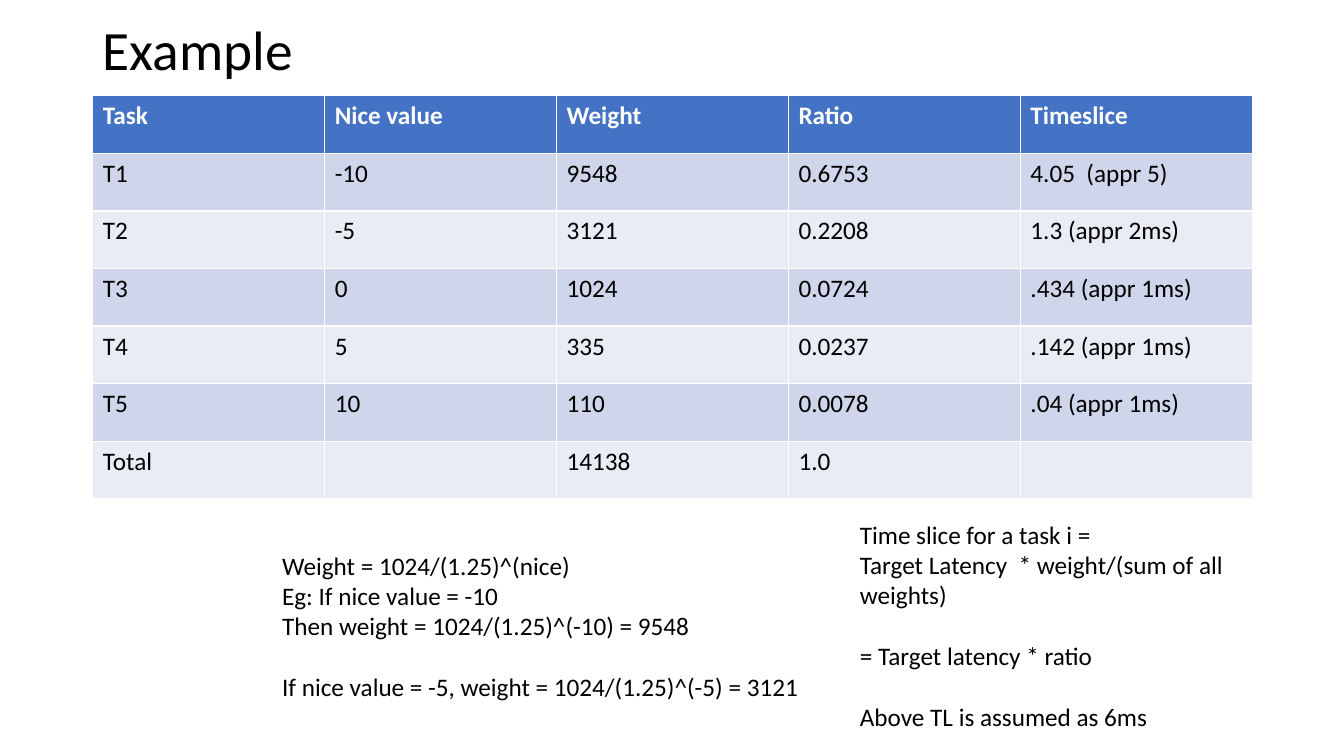
from pptx import Presentation
from pptx.dml.color import RGBColor
from pptx.enum.text import MSO_ANCHOR as Anchor
from pptx.util import Inches, Pt

FONT = "Calibri"
BODY_SIZE = 18
LINE_HEIGHT = 22  # points, one line of body text
COLORS = {
    "text": "000000",
    "header text": "FFFFFF",
    "header": "4472C4",
    "odd row": "CFD5EA",
    "even row": "E9EBF5",
}

TITLE = "Example"
TASKS = [
    ("Task", "Nice value", "Weight", "Ratio", "Timeslice"),
    ("T1", "-10", "9548", "0.6753", "4.05  (appr 5)"),
    ("T2", "-5", "3121", "0.2208", "1.3 (appr 2ms)"),
    ("T3", "0", "1024", "0.0724", ".434 (appr 1ms)"),
    ("T4", "5", "335", "0.0237", ".142 (appr 1ms)"),
    ("T5", "10", "110", "0.0078", ".04 (appr 1ms)"),
    ("Total", "", "14138", "1.0", ""),
]
# Each note is a list of blocks, set one line apart
WEIGHT_NOTE = [
    ["Weight = 1024/(1.25)^(nice)",
     "Eg: If nice value = -10",
     "Then weight = 1024/(1.25)^(-10) = 9548"],
    ["If nice value = -5, weight = 1024/(1.25)^(-5) = 3121"],
]
TIMESLICE_NOTE = [
    ["Time slice for a task i =",
     "Target Latency  * weight/(sum of all weights)"],
    ["= Target latency * ratio"],
    ["Above TL is assumed as 6ms"],
]

TITLE_BOX = (0.92, 0.25, 11.5, 0.55)
TABLE_BOX = (0.92, 0.95, 11.5, 4)
WEIGHT_BOX = (2.7, 5.41, 6.07, 1.62)
TIMESLICE_BOX = (8.43, 5.1, 4.42, 2.22)


def rgb(name):
    return RGBColor.from_string(COLORS[name])


def format_runs(paragraph, size=BODY_SIZE, color="text", bold=False):
    for run in paragraph.runs:
        run.font.name = FONT
        run.font.size = Pt(size)
        run.font.bold = bold
        run.font.color.rgb = rgb(color)


def add_text_frame(slide, box):
    frame = slide.shapes.add_textbox(*map(Inches, box)).text_frame
    frame.word_wrap = True
    return frame


def add_title(slide):
    frame = add_text_frame(slide, TITLE_BOX)
    frame.vertical_anchor = Anchor.MIDDLE
    frame.text = TITLE
    frame.paragraphs[0].line_spacing = 0.9
    format_runs(frame.paragraphs[0], size=39.6)


def add_task_table(slide):
    table = slide.shapes.add_table(
        len(TASKS), len(TASKS[0]), *map(Inches, TABLE_BOX)).table
    for r, task in enumerate(TASKS):
        is_header = r == 0
        fill = "header" if is_header else "odd row" if r % 2 else "even row"
        for c, value in enumerate(task):
            cell = table.cell(r, c)
            cell.fill.solid()
            cell.fill.fore_color.rgb = rgb(fill)
            cell.text_frame.text = value
            format_runs(cell.text_frame.paragraphs[0], bold=is_header,
                        color="header text" if is_header else "text")


def add_note(slide, box, blocks):
    frame = add_text_frame(slide, box)
    frame.text = "\n".join(line for block in blocks for line in block)
    paragraphs = iter(frame.paragraphs)
    for b, block in enumerate(blocks):
        for n in range(len(block)):
            paragraph = next(paragraphs)
            format_runs(paragraph)
            if b and n == 0:
                paragraph.space_before = Pt(LINE_HEIGHT)


def main():
    deck = Presentation()
    deck.slide_width, deck.slide_height = Inches(13.33), Inches(7.5)
    slide = deck.slides.add_slide(deck.slide_layouts[6])
    add_title(slide)
    add_task_table(slide)
    add_note(slide, WEIGHT_BOX, WEIGHT_NOTE)
    add_note(slide, TIMESLICE_BOX, TIMESLICE_NOTE)
    deck.save("out.pptx")


if __name__ == "__main__":
    main()
